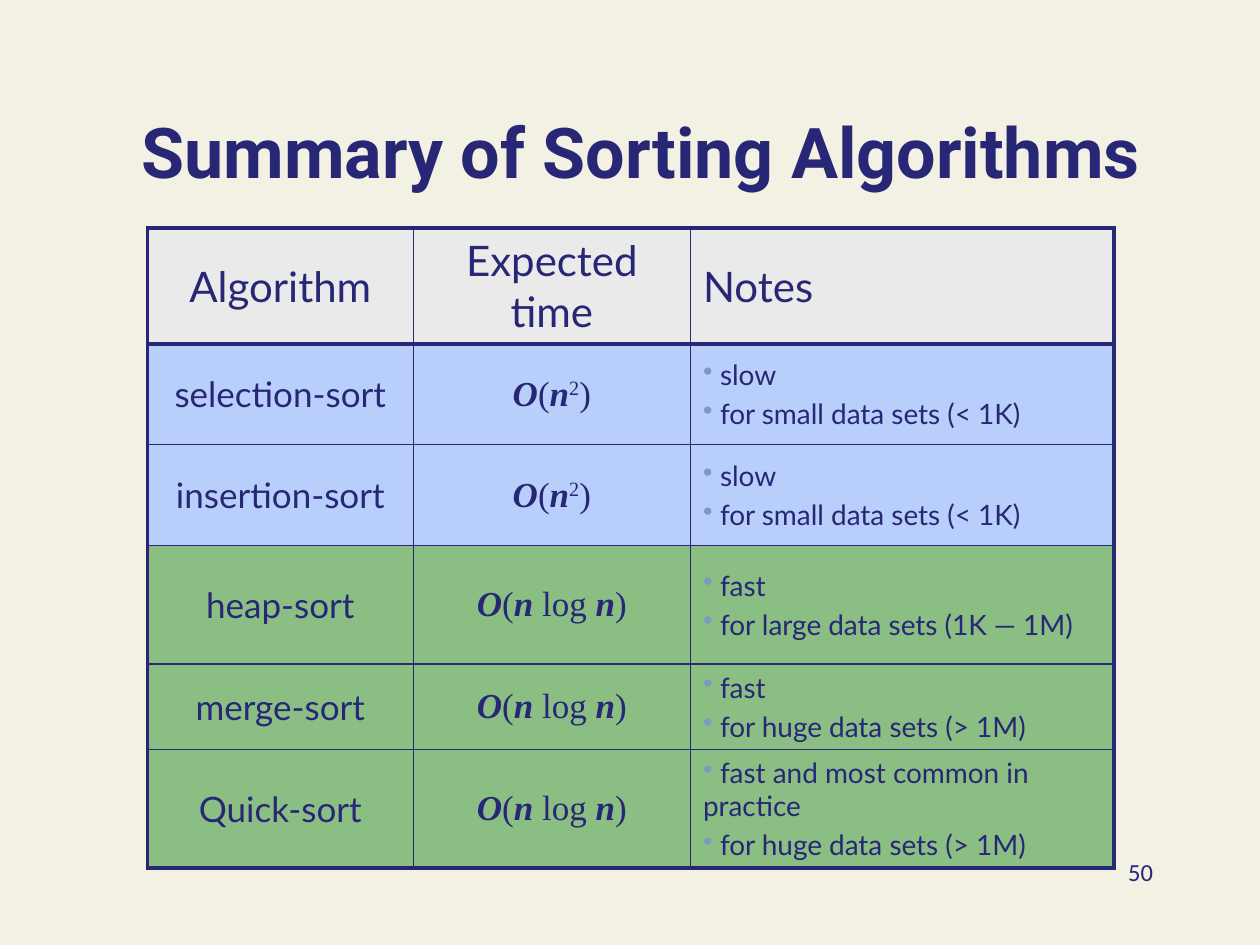
from pptx import Presentation
from pptx.dml.color import RGBColor
from pptx.enum.text import MSO_ANCHOR as Anchor, MSO_AUTO_SIZE as AutoSize, PP_ALIGN as Align
from pptx.oxml import parse_xml
from pptx.oxml.ns import nsdecls
from pptx.util import Inches, Pt

NAVY = RGBColor(0x27, 0x27, 0x76)
CREAM = RGBColor(0xF3, 0xF1, 0xE4)
GRAY = RGBColor(0xEA, 0xEA, 0xEA)
BLUE = RGBColor(0xB8, 0xCF, 0xFB)
GREEN = RGBColor(0x8B, 0xBE, 0x82)
BULLET = RGBColor(0x7F, 0x97, 0xC2)

THIN, THICK = Pt(1), Pt(2.25)
QUADRATIC = ["O", "(", "n", "2", ")"]
LINEARITHMIC = ["O", "(", "n", " log ", "n", ")"]

HEADINGS = ["Algorithm", "Expected time", "Notes"]
ALGORITHMS = [
    ("selection-sort", QUADRATIC, ["slow", "for small data sets (< 1K)"], BLUE),
    ("insertion-sort", QUADRATIC, ["slow", "for small data sets (< 1K)"], BLUE),
    ("heap-sort", LINEARITHMIC, ["fast", "for large data sets (1K — 1M)"], GREEN),
    ("merge-sort", LINEARITHMIC, ["fast", "for huge data sets (> 1M)"], GREEN),
    ("Quick-sort", LINEARITHMIC,
     ["fast and most common in practice", "for huge data sets (> 1M)"], GREEN),
]
COLUMN_WIDTHS = [2.11, 2.2, 3.36]
ROW_HEIGHTS = [0.92, 0.8, 0.8, 0.94, 0.68, 0.94]


def add_run(paragraph, text, size, font="Lato", bold=False, italic=False):
    run = paragraph.add_run()
    run.text = text
    run.font.name = font
    run.font.size = Pt(size)
    run.font.bold = bold
    run.font.italic = italic
    run.font.color.rgb = NAVY
    return run


def style_cell(cell, fill, widths):
    """Set fill, middle anchor and the left, right, top and bottom borders."""
    cell.vertical_anchor = Anchor.MIDDLE
    properties = cell._tc.get_or_add_tcPr()
    for side, width in zip("LRTB", widths):
        properties.append(parse_xml(
            f'<a:ln{side} {nsdecls("a")} w="{width}"><a:solidFill>'
            f'<a:srgbClr val="{NAVY}"/></a:solidFill></a:ln{side}>'))
    cell.fill.solid()
    cell.fill.fore_color.rgb = fill


presentation = Presentation()
presentation.slide_width = Inches(10)
presentation.slide_height = Inches(7.5)
slide = presentation.slides.add_slide(presentation.slide_layouts[5])
slide.background.fill.solid()
slide.background.fill.fore_color.rgb = CREAM

# Title
title = slide.shapes.title
title.left, title.top = Inches(0.67), Inches(0.33)
title.width, title.height = Inches(8.83), Inches(1.25)
title.text_frame.auto_size = AutoSize.NONE
title.text_frame.vertical_anchor = Anchor.BOTTOM
title_paragraph = title.text_frame.paragraphs[0]
title_paragraph.alignment = Align.CENTER
add_run(title_paragraph, "Summary of Sorting Algorithms", 40, "Roboto", bold=True)

# Table grid
table = slide.shapes.add_table(
    len(ROW_HEIGHTS), len(COLUMN_WIDTHS), Inches(1.17), Inches(1.81),
    Inches(sum(COLUMN_WIDTHS)), Inches(sum(ROW_HEIGHTS))).table
table.first_row = False
table.horz_banding = False
for column, width in zip(table.columns, COLUMN_WIDTHS):
    column.width = Inches(width)
for row, height in zip(table.rows, ROW_HEIGHTS):
    row.height = Inches(height)

# Fills and borders: thick outline and a thick line below the header
row_fills = [GRAY] + [fill for *_, fill in ALGORITHMS]
last_row, last_column = len(ROW_HEIGHTS) - 1, len(COLUMN_WIDTHS) - 1
for r, fill in enumerate(row_fills):
    for c in range(len(COLUMN_WIDTHS)):
        thick_sides = [c == 0, c == last_column, r <= 1, r in (0, last_row)]
        style_cell(table.cell(r, c), fill,
                   [THICK if thick else THIN for thick in thick_sides])

# Header row
for c, heading in enumerate(HEADINGS):
    paragraph = table.cell(0, c).text_frame.paragraphs[0]
    paragraph.alignment = Align.LEFT if c == last_column else Align.CENTER
    add_run(paragraph, heading, 24)

# Algorithm rows
for r, (name, expected_time, notes, _) in enumerate(ALGORITHMS, start=1):
    name_paragraph = table.cell(r, 0).text_frame.paragraphs[0]
    name_paragraph.alignment = Align.CENTER
    add_run(name_paragraph, name, 20)

    time_paragraph = table.cell(r, 1).text_frame.paragraphs[0]
    time_paragraph.alignment = Align.CENTER
    for part in expected_time:
        is_symbol = part in ("O", "n")
        run = add_run(time_paragraph, part, 20, "Times New Roman", is_symbol, is_symbol)
        if part == "2":
            run.font._element.set("baseline", "30000")

    notes_frame = table.cell(r, 2).text_frame
    for i, note in enumerate(notes):
        paragraph = notes_frame.add_paragraph() if i else notes_frame.paragraphs[0]
        properties = paragraph._p.get_or_add_pPr()
        properties.set("marL", "0")
        properties.set("indent", str(Inches(-0.12)))
        properties.append(parse_xml(
            f'<a:buClr {nsdecls("a")}><a:srgbClr val="{BULLET}"/></a:buClr>'))
        properties.append(parse_xml(f'<a:buChar {nsdecls("a")} char="•"/>'))
        if i:
            paragraph.space_before = Pt(3.2)
        add_run(paragraph, " " + note, 16)

# Page number
number_box = slide.shapes.add_textbox(Inches(7.17), Inches(6.75), Inches(2.08), Inches(0.5))
number_box.text_frame.word_wrap = True
number_paragraph = number_box.text_frame.paragraphs[0]
number_paragraph.alignment = Align.RIGHT
add_run(number_paragraph, "50", 14, "Calibri")

presentation.save("out.pptx")
